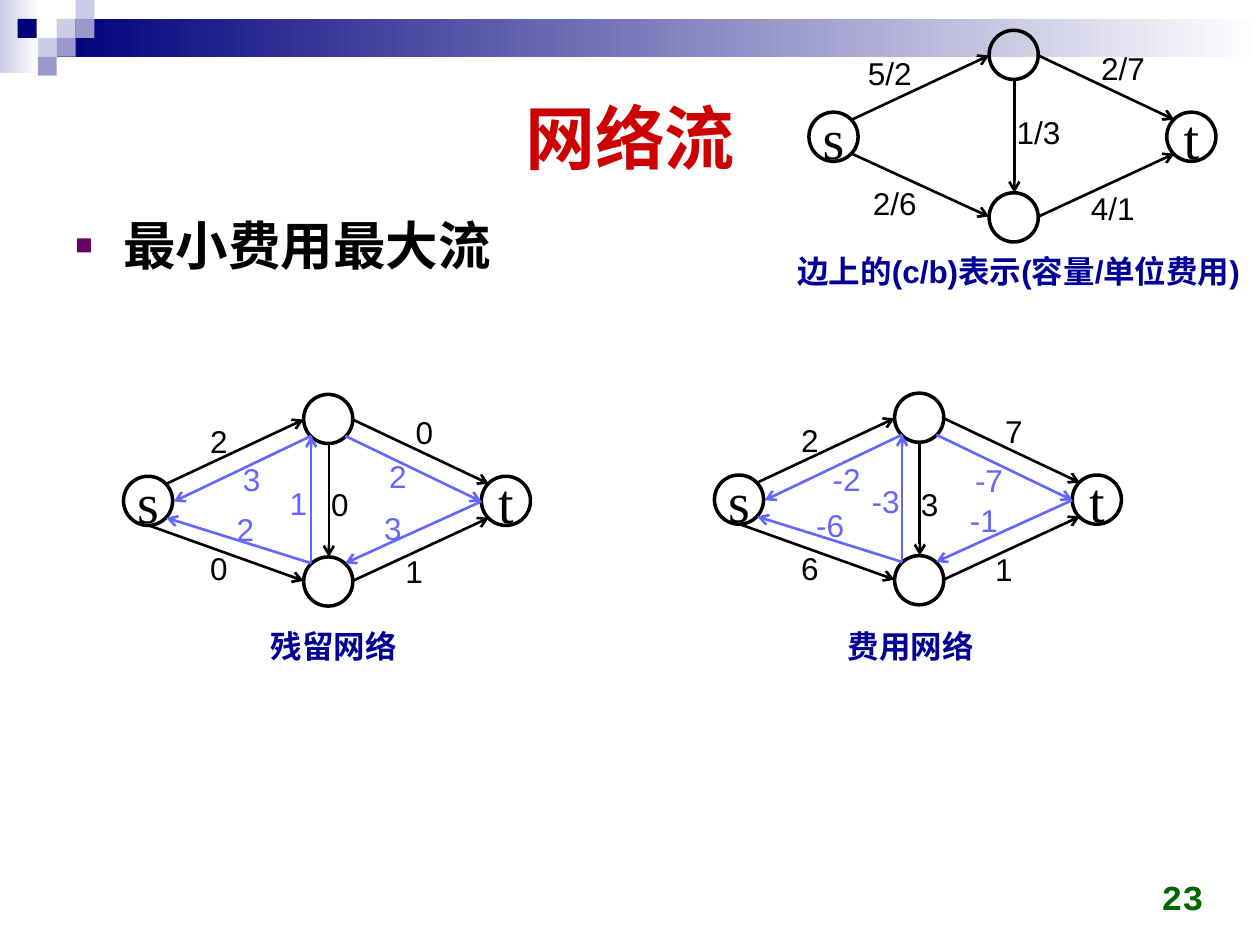
"""Build a slide on minimum-cost maximum flow with three network diagrams."""
import pptx
import pptx.dml.color
import pptx.enum.shapes
import pptx.enum.text
import pptx.oxml.ns
import pptx.util
from lxml import etree
from pptx.dml.color import RGBColor
from pptx.enum.shapes import MSO_CONNECTOR, MSO_SHAPE
from pptx.enum.text import MSO_ANCHOR, PP_ALIGN
from pptx.oxml.ns import qn
from pptx.util import Inches, Pt

BLACK = RGBColor(0x00, 0x00, 0x00)
WHITE = RGBColor(0xFF, 0xFF, 0xFF)
RED = RGBColor(0xCC, 0x00, 0x00)
GREEN = RGBColor(0x00, 0x66, 0x00)
PURPLE = RGBColor(0x66, 0x00, 0x66)
CAPTION_BLUE = RGBColor(0x00, 0x00, 0x99)
BACK_BLUE = RGBColor(0x65, 0x65, 0xFF)
NAVY = RGBColor(0x00, 0x00, 0x7D)
LAVENDER = RGBColor(0xCC, 0xCC, 0xE6)
MID_LAVENDER = RGBColor(0x99, 0x99, 0xCC)

BANDS = [((0, 0, 0.31, 0.58), LAVENDER), ((0.45, 0.15, 9.55, 0.3), NAVY)]
TILE = 0.15
TILES = [
    (0.45, 0.15, LAVENDER),
    (0.6, 0, LAVENDER),
    (0.6, 0.15, MID_LAVENDER),
    (0.3, 0.3, LAVENDER),
    (0.14, 0.15, NAVY),
    (0.45, 0.3, MID_LAVENDER),
    (0.3, 0.45, MID_LAVENDER),
]
CAPTIONS = [
    ("残留网络", (2.05, 4.93, 1.22, 0.4), False),
    ("费用网络", (6.63, 4.93, 1.22, 0.4), False),
    ("边上的(c/b)表示(容量/单位费用)", (6.23, 1.95, 3.77, 0.4), True),
]

NODE_SIZE = 0.39
NODES = [("s", 0, 0.65), ("t", 2.84, 0.65), ("", 1.43, 0), ("", 1.43, 1.29)]
FORWARD_EDGES = [
    ((0.34, 0.71), (1.43, 0.2)),
    ((1.82, 0.2), (2.9, 0.71)),
    ((1.82, 1.48), (2.9, 0.98)),
    ((1.63, 0.39), (1.63, 1.29)),
]
SHORT_LOWER_EDGE = ((0.34, 0.98), (1.43, 1.48))
LONG_LOWER_EDGE = ((0.2, 1.04), (1.43, 1.48))
BACK_EDGES = [
    ((1.49, 0.33), (0.4, 0.85)),
    ((1.49, 1.34), (0.34, 0.98)),
    ((1.49, 1.34), (1.49, 0.33)),
    ((1.76, 0.33), (2.84, 0.85)),
    ((2.84, 0.85), (1.76, 1.34)),
]
NETWORKS = [
    {
        "origin": (6.42, 0.24),
        "lower_edge": SHORT_LOWER_EDGE,
        "labels": [("5/2", 0.37, 0.14), ("2/6", 0.41, 1.17), ("2/7", 2.22, 0.1),
                   ("1/3", 1.55, 0.61), ("4/1", 2.14, 1.21)],
        "back_labels": [],
    },
    {
        "origin": (0.98, 3.13),
        "lower_edge": LONG_LOWER_EDGE,
        "labels": [("2", 0.59, 0.17), ("0", 0.59, 1.18), ("0", 2.22, 0.1),
                   ("0", 1.55, 0.67), ("1", 2.14, 1.2)],
        "back_labels": [("3", 0.85, 0.47), ("2", 2.01, 0.45), ("3", 1.97, 0.86),
                        ("2", 0.8, 0.87), ("1", 1.22, 0.66)],
    },
    {
        "origin": (5.67, 3.12),
        "lower_edge": LONG_LOWER_EDGE,
        "labels": [("2", 0.59, 0.17), ("6", 0.59, 1.19), ("7", 2.21, 0.1),
                   ("3", 1.54, 0.68), ("1", 2.13, 1.2)],
        "back_labels": [("-2", 0.84, 0.48), ("-7", 1.97, 0.49), ("-1", 1.93, 0.81),
                        ("-6", 0.71, 0.85), ("-3", 1.15, 0.66)],
    },
]
LABEL_WIDTHS = {1: 0.34, 2: 0.43, 3: 0.55}


def write(frame, text, size, color, font="Arial", bold=False, align=PP_ALIGN.LEFT):
    frame.text = text
    para = frame.paragraphs[0]
    para.alignment = align
    for span in para.runs:
        span.font.name = font
        span.font.size = Pt(size)
        span.font.bold = bold
        span.font.color.rgb = color
    return para


def add_text(page, text, bounds, size, color, wrap=True, anchor=MSO_ANCHOR.TOP, **style):
    box = page.shapes.add_textbox(*map(Inches, bounds))
    box.text_frame.word_wrap = wrap
    box.text_frame.vertical_anchor = anchor
    return write(box.text_frame, text, size, color, **style)


def add_shape(page, kind, bounds):
    shape = page.shapes.add_shape(kind, *map(Inches, bounds))
    shape.shadow.inherit = False
    return shape


def add_decoration(page):
    for bounds, color in BANDS:
        band = add_shape(page, MSO_SHAPE.RECTANGLE, bounds)
        band.line.fill.background()
        band.fill.gradient()
        band.fill.gradient_angle = 0
        for stop, shade in zip(band.fill.gradient_stops, (color, WHITE)):
            stop.color.rgb = shade
    for left, top, color in TILES:
        tile = add_shape(page, MSO_SHAPE.RECTANGLE, (left, top, TILE, TILE))
        tile.line.fill.background()
        tile.fill.solid()
        tile.fill.fore_color.rgb = color


def add_node(page, name, left, top):
    node = add_shape(page, MSO_SHAPE.OVAL, (left, top, NODE_SIZE, NODE_SIZE))
    node.fill.background()
    node.line.color.rgb = BLACK
    node.line.width = Pt(2)
    if name:
        frame = node.text_frame
        frame.margin_left = frame.margin_right = frame.margin_top = frame.margin_bottom = 0
        frame.vertical_anchor = MSO_ANCHOR.MIDDLE
        write(frame, name, 32, BLACK, font="Times New Roman", align=PP_ALIGN.CENTER)


def add_arrow(page, start, end, color):
    arrow = page.shapes.add_connector(MSO_CONNECTOR.STRAIGHT, *map(Inches, start + end))
    arrow.line.color.rgb = color
    arrow.line.width = Pt(1.5)
    etree.SubElement(arrow.line._get_or_add_ln(), qn("a:tailEnd"), type="arrow")
    etree.SubElement(arrow._element.spPr, qn("a:effectLst"))


def add_network(page, network):
    left, top = network["origin"]

    def place(x, y):
        return left + x, top + y

    for name, x, y in NODES:
        add_node(page, name, *place(x, y))
    layers = [(FORWARD_EDGES + [network["lower_edge"]], network["labels"], BLACK)]
    if network["back_labels"]:
        layers.append((BACK_EDGES, network["back_labels"], BACK_BLUE))
    for edges, labels, color in layers:
        for start, end in edges:
            add_arrow(page, place(*start), place(*end), color)
        for text, x, y in labels:
            bounds = place(x, y) + (LABEL_WIDTHS[len(text)], 0.4)
            add_text(page, text, bounds, 18, color, wrap=False)


def add_bullet(para):
    properties = para._p.get_or_add_pPr()
    properties.set("marL", str(Inches(0.38)))
    properties.set("indent", str(-Inches(0.38)))
    bullet_color = etree.SubElement(properties, qn("a:buClr"))
    etree.SubElement(bullet_color, qn("a:srgbClr"), val=str(PURPLE))
    etree.SubElement(properties, qn("a:buSzPct"), val="55000")
    etree.SubElement(properties, qn("a:buFont"), typeface="Arial")
    etree.SubElement(properties, qn("a:buChar"), char="■")


def main():
    deck = pptx.Presentation()
    deck.slide_width, deck.slide_height = Inches(10), Inches(7.5)
    page = deck.slides.add_slide(deck.slide_layouts[6])
    add_decoration(page)
    add_text(page, "网络流", (0.5, 0.5, 9, 1.16), 40, RED, bold=True,
             anchor=MSO_ANCHOR.MIDDLE, align=PP_ALIGN.CENTER)
    topic = add_text(page, "最小费用最大流", (0.5, 1.62, 9, 5.2), 30, BLACK, bold=True)
    topic.line_spacing = 1.05
    topic.space_before = Pt(4.5)
    add_bullet(topic)
    add_text(page, "23", (7.32, 6.83, 2.33, 0.5), 20, GREEN, font="Courier New",
             bold=True, anchor=MSO_ANCHOR.BOTTOM, align=PP_ALIGN.RIGHT)
    for text, bounds, wrap in CAPTIONS:
        add_text(page, text, bounds, 18, CAPTION_BLUE, wrap=wrap, bold=True)
    for network in NETWORKS:
        add_network(page, network)
    deck.save("out.pptx")


if __name__ == "__main__":
    main()
